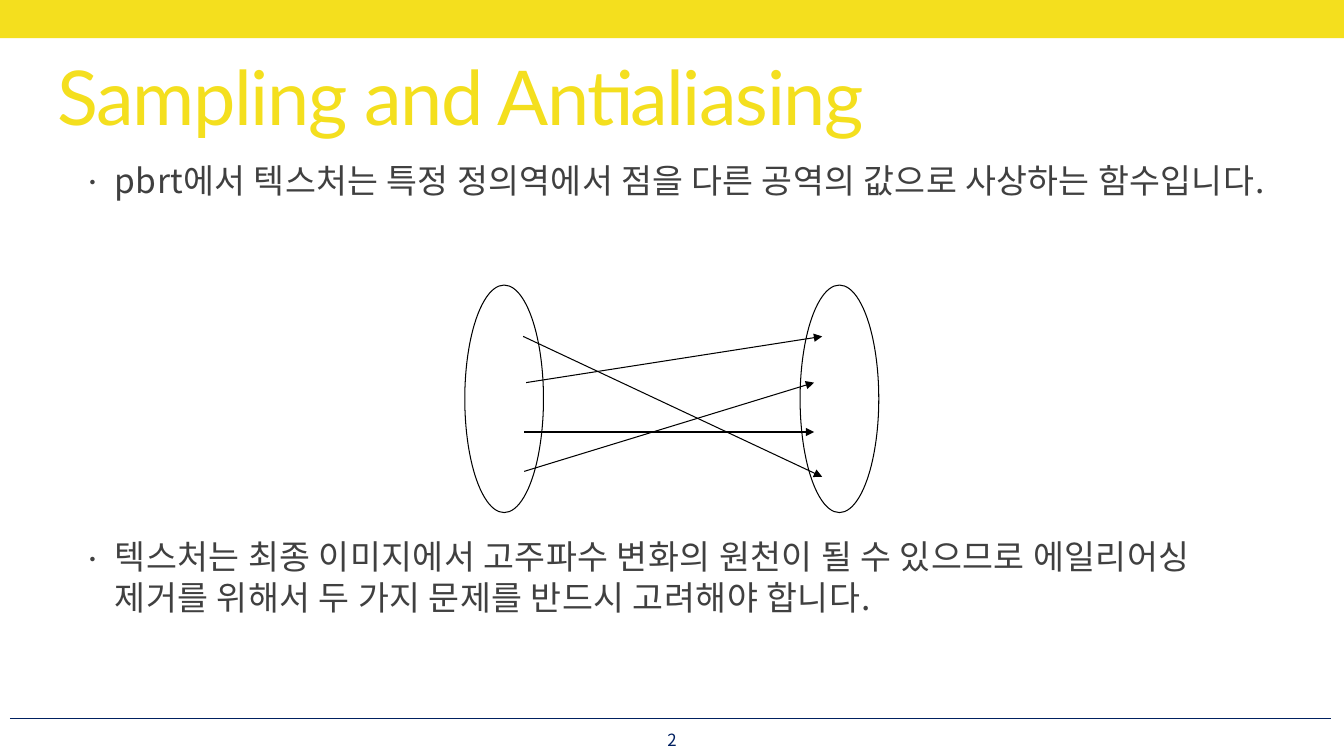
from typing import Any, NamedTuple

from lxml.etree import SubElement
from pptx import Presentation
from pptx.dml.color import RGBColor
from pptx.enum.shapes import MSO_CONNECTOR, MSO_SHAPE
from pptx.enum.text import MSO_ANCHOR, MSO_AUTO_SIZE, PP_ALIGN
from pptx.oxml.ns import qn
from pptx.util import Pt

YELLOW = RGBColor(0xF4, 0xDF, 0x1E)
NAVY = RGBColor(0x00, 0x20, 0x60)
GRAY = RGBColor(0x40, 0x40, 0x40)
BLACK = RGBColor(0x00, 0x00, 0x00)

LATIN_FONT = "Lato"
KOREAN_FONT = "Noto Sans CJK KR"


class Box(NamedTuple):
    left: float
    top: float
    width: float
    height: float

    def lengths(self) -> list[Pt]:
        return [Pt(value) for value in self]


class Segment(NamedTuple):
    x1: float
    y1: float
    x2: float
    y2: float


class Bullet(NamedTuple):
    text: str
    space_before: float
    tracking: float


PAGE_RULE = Segment(7, 513.2, 950.4, 513.2)
TOP_BAND = Box(0, 0, 960, 27.2)
TITLE_BOX = Box(41, 42.5, 878.4, 59)
BODY_BOX = Box(41, 114.3, 878.4, 389.5)
PAGE_NUMBER_BOX = Box(440, 517, 80, 22.3)

# The second bullet starts below the diagram
BULLETS = [
    Bullet("pbrt에서 텍스처는 특정 정의역에서 점을 다른 공역의 값으로 사상하는 함수입니다.", 0, 0.26),
    Bullet("텍스처는 최종 이미지에서 고주파수 변화의 원천이 될 수 있으므로 에일리어싱 "
           "제거를 위해서 두 가지 문제를 반드시 고려해야 합니다.", 240, 0.35),
]

DOMAIN = Box(332, 203.6, 56.2, 162.5)
CODOMAIN = DOMAIN._replace(left=571.5)
MAPPINGS = [
    Segment(373.7, 240.3, 587.3, 340.6),
    Segment(375.8, 273.3, 587.3, 240.3),
    Segment(374.4, 308.6, 581.5, 308.6),
    Segment(374.4, 336.7, 581.5, 273.3),
]

FRAME_FORMAT = {
    "margin_left": 0, "margin_top": 0, "margin_right": 0, "margin_bottom": 0,
    "word_wrap": True, "auto_size": MSO_AUTO_SIZE.NONE,
}


def apply(target: Any, values: dict[str, Any]) -> None:
    for name, value in values.items():
        setattr(target, name, value)


def write_run(paragraph: Any, text: str, font_name: str, size: float,
              color: RGBColor, tracking: float = 0) -> None:
    run = paragraph.add_run()
    run.text = text
    apply(run.font, {"name": font_name, "size": Pt(size), "bold": False})
    run.font.color.rgb = color
    properties = run.font._element
    properties.set("spc", str(round(tracking * 100)))
    SubElement(properties, qn("a:ea"), typeface=font_name)


def add_frame(slide: Any, box: Box, anchor: MSO_ANCHOR) -> Any:
    frame = slide.shapes.add_textbox(*box.lengths()).text_frame
    apply(frame, FRAME_FORMAT | {"vertical_anchor": anchor})
    return frame


def add_line(slide: Any, segment: Segment, color: RGBColor, width: float, arrow: bool = False) -> None:
    ends = [Pt(value) for value in segment]
    connector = slide.shapes.add_connector(MSO_CONNECTOR.STRAIGHT, *ends)
    connector.line.color.rgb = color
    connector.line.width = Pt(width)
    if arrow:
        SubElement(connector.line._get_or_add_ln(), qn("a:tailEnd"), type="triangle")
    SubElement(connector._element.spPr, qn("a:effectLst"))


def add_band(slide: Any, box: Box) -> None:
    band = slide.shapes.add_shape(MSO_SHAPE.RECTANGLE, *box.lengths())
    band.shadow.inherit = False
    band.fill.solid()
    band.fill.fore_color.rgb = YELLOW
    band.line.fill.background()


def add_set(slide: Any, box: Box) -> None:
    ellipse = slide.shapes.add_shape(MSO_SHAPE.OVAL, *box.lengths())
    ellipse.shadow.inherit = False
    ellipse.fill.background()
    ellipse.line.color.rgb = BLACK
    ellipse.line.width = Pt(0.75)


def set_title(slide: Any, text: str) -> None:
    title = slide.shapes.title
    apply(title, dict(zip(Box._fields, TITLE_BOX.lengths())))
    apply(title.text_frame, FRAME_FORMAT | {"vertical_anchor": MSO_ANCHOR.MIDDLE})
    paragraph = title.text_frame.paragraphs[0]
    apply(paragraph, {"alignment": PP_ALIGN.LEFT, "line_spacing": 0.9})
    write_run(paragraph, text, LATIN_FONT, 54, YELLOW, tracking=-1)


def add_bullets(slide: Any, bullets: list[Bullet]) -> None:
    frame = add_frame(slide, BODY_BOX, MSO_ANCHOR.TOP)
    for index, bullet in enumerate(bullets):
        paragraph = frame.add_paragraph() if index else frame.paragraphs[0]
        paragraph.space_before = Pt(bullet.space_before)
        properties = paragraph._p.get_or_add_pPr()
        properties.set("marL", str(Pt(41)))
        properties.set("indent", str(Pt(-18.7)))
        SubElement(properties, qn("a:buSzPct"), val="90000")
        SubElement(properties, qn("a:buFont"), typeface=LATIN_FONT)
        SubElement(properties, qn("a:buChar"), char="·")
        write_run(paragraph, bullet.text, KOREAN_FONT, 24, GRAY, bullet.tracking)


def add_page_number(slide: Any, number: str) -> None:
    paragraph = add_frame(slide, PAGE_NUMBER_BOX, MSO_ANCHOR.MIDDLE).paragraphs[0]
    paragraph.alignment = PP_ALIGN.CENTER
    write_run(paragraph, number, KOREAN_FONT, 12, NAVY)


def main() -> None:
    deck = Presentation()
    apply(deck, {"slide_width": Pt(960), "slide_height": Pt(540)})
    slide = deck.slides.add_slide(deck.slide_layouts.get_by_name("Title Only"))

    # Page furniture
    add_line(slide, PAGE_RULE, NAVY, 1)
    add_band(slide, TOP_BAND)
    add_page_number(slide, "2")

    # Text
    set_title(slide, "Sampling and Antialiasing")
    add_bullets(slide, BULLETS)

    # Mapping diagram
    for region in (DOMAIN, CODOMAIN):
        add_set(slide, region)
    for mapping in MAPPINGS:
        add_line(slide, mapping, BLACK, 0.75, arrow=True)

    deck.save("out.pptx")


if __name__ == "__main__":
    main()
